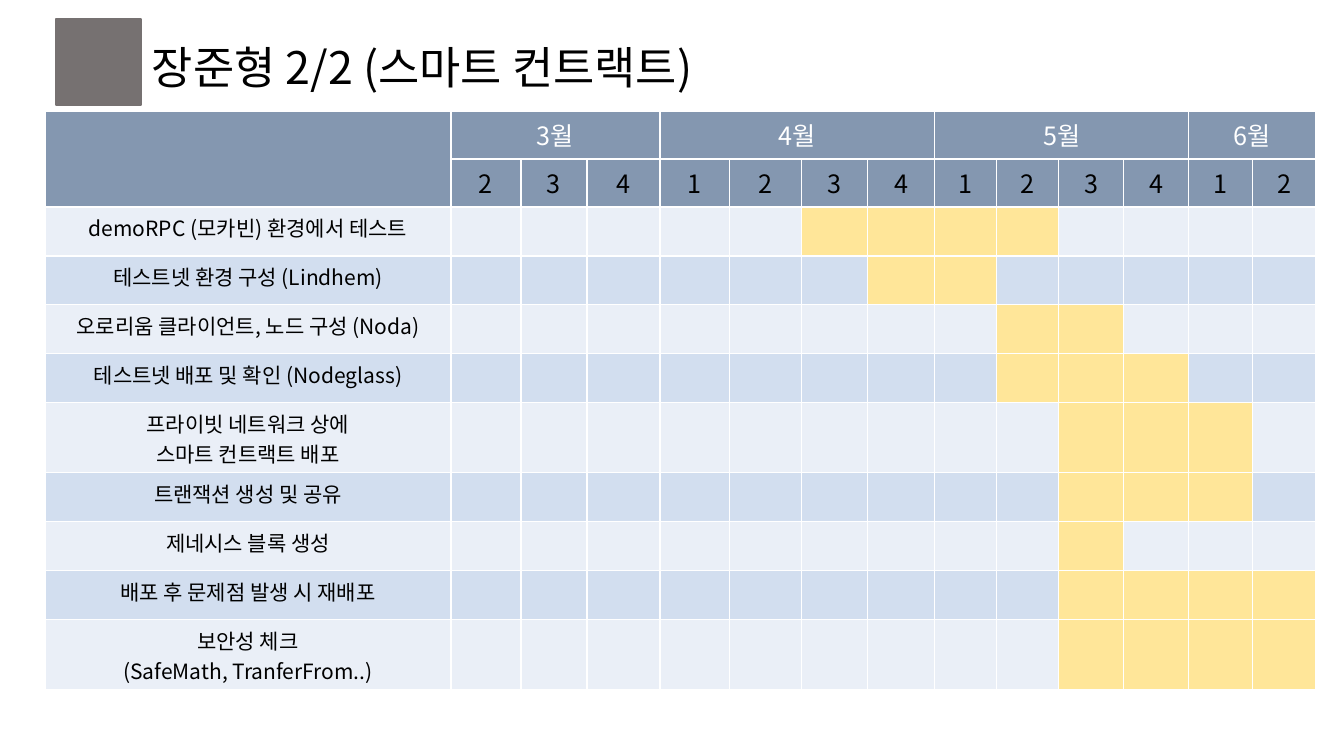
from dataclasses import dataclass

from lxml import etree
from pptx import Presentation, util as u
from pptx.dml.color import RGBColor
from pptx.enum import shapes, text
from pptx.oxml.ns import qn

EMU_PER_PX = 914400 / 100.8
FONT = "Noto Sans CJK KR"
COLORS = {
    "header": "8497B0",
    "light": "EAEFF7",
    "dark": "D2DEEF",
    "active": "FFE699",
    "square": "767171",
    "black": "000000",
    "white": "FFFFFF",
}


@dataclass
class Month:
    name: str
    first_week: int
    last_week: int


@dataclass
class Task:
    label: str
    start: int  # table column where the work begins
    end: int  # table column where the work ends
    height: int = 49


MONTHS = [Month("3월", 2, 4), Month("4월", 1, 4), Month("5월", 1, 4), Month("6월", 1, 2)]
TASKS = [
    Task("demoRPC (모카빈) 환경에서 테스트", 6, 9),
    Task("테스트넷 환경 구성 (Lindhem)", 7, 8),
    Task("오로리움 클라이언트, 노드 구성 (Noda)", 9, 10),
    Task("테스트넷 배포 및 확인 (Nodeglass)", 9, 11),
    Task("프라이빗 네트워크 상에\n스마트 컨트랙트 배포", 10, 12, 70),
    Task("트랜잭션 생성 및 공유", 10, 12),
    Task("제네시스 블록 생성", 10, 10),
    Task("배포 후 문제점 발생 시 재배포", 10, 13),
    Task("보안성 체크\n(SafeMath, TranferFrom..)", 10, 13, 70),
]
COLUMN_WIDTHS = [406, 70, 66, 73, 70, 72, 66, 67, 62, 62, 65, 65, 64, 63]
ROW_HEIGHTS = [48, 48] + [task.height for task in TASKS]


def px(length: int) -> int:
    return round(length * EMU_PER_PX)


def rgb(name: str) -> RGBColor:
    return RGBColor.from_string(COLORS[name])


def write(frame, words: str, size: int, color: str, align=text.PP_ALIGN.CENTER) -> None:
    frame.text = words
    for paragraph in frame.paragraphs:
        paragraph.alignment = align
        paragraph.font.size = u.Pt(size)
        paragraph.font.name = FONT
        paragraph.font.color.rgb = rgb(color)
        defaults = paragraph._p.pPr.find(qn("a:defRPr"))
        etree.SubElement(defaults, qn("a:ea"), typeface=FONT)


def style_cell(cell, fill: str) -> None:
    cell.fill.solid()
    cell.fill.fore_color.rgb = rgb(fill)
    properties = cell._tc.get_or_add_tcPr()
    for index, side in enumerate("LRTB"):
        border = etree.Element(qn(f"a:ln{side}"), w=str(u.Pt(1)))
        paint = etree.SubElement(border, qn("a:solidFill"))
        etree.SubElement(paint, qn("a:srgbClr"), val=COLORS["white"])
        properties.insert(index, border)


def add_title(slide) -> None:
    title = slide.shapes.add_textbox(px(142), px(35), px(604), px(65)).text_frame
    title.word_wrap = False
    title.auto_size = text.MSO_AUTO_SIZE.SHAPE_TO_FIT_TEXT
    write(title, "장준형 2/2 (스마트 컨트랙트)", 32, "black", text.PP_ALIGN.LEFT)

    square = slide.shapes.add_shape(
        shapes.MSO_SHAPE.RECTANGLE, px(56), px(19), px(85), px(86))
    square.shadow.inherit = False
    square.fill.solid()
    square.fill.fore_color.rgb = rgb("square")
    square.line.color.rgb = rgb("square")
    square.line.width = u.Pt(1)


def add_schedule(slide) -> None:
    schedule = slide.shapes.add_table(
        len(ROW_HEIGHTS), len(COLUMN_WIDTHS), px(45), px(111),
        px(sum(COLUMN_WIDTHS)), px(sum(ROW_HEIGHTS))).table
    schedule.first_row = schedule.horz_banding = False
    for column, width in zip(schedule.columns, COLUMN_WIDTHS):
        column.width = px(width)
    for row, height in zip(schedule.rows, ROW_HEIGHTS):
        row.height = px(height)

    # Header: months above their weeks
    for column in range(len(COLUMN_WIDTHS)):
        for row in range(2):
            style_cell(schedule.cell(row, column), "header")
    schedule.cell(0, 0).merge(schedule.cell(1, 0))
    first = 1
    for month in MONTHS:
        weeks = range(month.first_week, month.last_week + 1)
        month_cell = schedule.cell(0, first)
        month_cell.merge(schedule.cell(0, first + len(weeks) - 1))
        write(month_cell.text_frame, month.name, 18, "white")
        for column, week in enumerate(weeks, first):
            write(schedule.cell(1, column).text_frame, str(week), 18, "black")
        first += len(weeks)

    # Tasks: banded rows with the working weeks highlighted
    for row, task in enumerate(TASKS, 2):
        band = "dark" if row % 2 else "light"
        write(schedule.cell(row, 0).text_frame, task.label, 15, "black")
        for column in range(len(COLUMN_WIDTHS)):
            active = task.start <= column <= task.end
            style_cell(schedule.cell(row, column), "active" if active else band)


def main() -> None:
    deck = Presentation()
    deck.slide_width, deck.slide_height = px(1344), px(756)
    slide = deck.slides.add_slide(deck.slide_layouts[6])
    add_title(slide)
    add_schedule(slide)
    deck.save("out.pptx")


if __name__ == "__main__":
    main()
